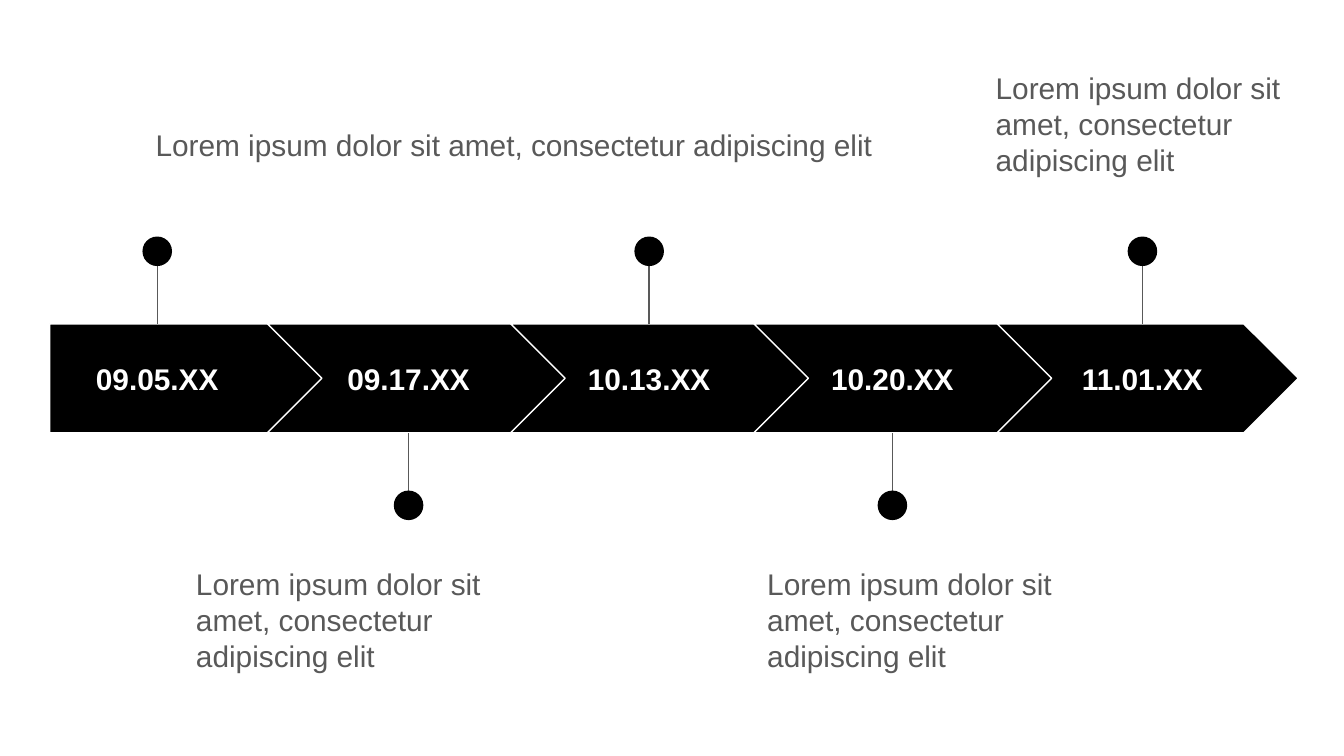
from pptx import Presentation
from pptx import util as u
from pptx.dml.color import RGBColor
from pptx.enum import shapes, text
from pptx.oxml.ns import qn
from lxml import etree

PX = 9144  # EMU in one px, 100 px to the inch
BLACK, WHITE, GREY = "000000", "FFFFFF", "595959"
BAND = (37, 241, 929, 81)
STEP_PITCH, STEP_OVERLAP = 181, 43
DOT, STEM, DATE_WIDTH, DATE_HEIGHT = 22, 54, 144, 51

DATE_FORMAT = {"size": u.Pt(16), "name": "Arial", "bold": True}
CAPTION_FORMAT = {"size": u.Pt(16), "name": "Arial", "bold": False}
CAPTION = "Lorem ipsum dolor sit amet, consectetur adipiscing elit"

# date, centre of the pin, pin above the band, caption box
MILESTONES = [
    ("09.05.XX", 117, True, None),
    ("09.17.XX", 304, False, (136, 411, 245, 99)),
    ("10.13.XX", 483, True, (106, 84, 660, 141)),
    ("10.20.XX", 664, False, (561, 411, 245, 99)),
    ("11.01.XX", 850, True, (731, 42, 245, 99)),
]


def px(*lengths):
    return [u.Emu(round(length * PX)) for length in lengths]


def color(hex_string):
    return RGBColor.from_string(hex_string)


def add_filled(parent, kind, box, line=None):
    shape = parent.shapes.add_shape(kind, *px(*box))
    shape.shadow.inherit = False
    shape.fill.solid()
    shape.fill.fore_color.rgb = color(BLACK)
    if line:
        shape.line.color.rgb = color(line)
        shape.line.width = u.Pt(0.75)
    else:
        shape.line.fill.background()
    return shape


def add_text(slide, box, words, font_format, font_color, frame_format, paragraph_format):
    frame = slide.shapes.add_textbox(*px(*box)).text_frame
    margins = dict.fromkeys(
        ("margin_left", "margin_top", "margin_right", "margin_bottom"), u.Inches(0.1))
    for name, value in {"word_wrap": True, **margins, **frame_format}.items():
        setattr(frame, name, value)
    paragraph = frame.paragraphs[0]
    for name, value in paragraph_format.items():
        setattr(paragraph, name, value)
    run = paragraph.add_run()
    run.text = words
    for name, value in font_format.items():
        setattr(run.font, name, value)
    run.font.color.rgb = color(font_color)


def add_step(slide, index, box):
    """One arrow of the band; the first has a flat left side."""
    left, top, _, height = box
    if index == 0:
        kind, width = shapes.MSO_SHAPE.PENTAGON, STEP_PITCH + 24
    else:
        kind, width = shapes.MSO_SHAPE.CHEVRON, STEP_PITCH + STEP_OVERLAP
        left += index * STEP_PITCH - 19
    arrow = add_filled(slide, kind, (left, top, width, height), WHITE)
    arrow.adjustments[0] = 0.5


def add_date(slide, date, center, box):
    top = box[1] + (box[3] - DATE_HEIGHT) / 2
    add_text(slide, (center - DATE_WIDTH / 2, top, DATE_WIDTH, DATE_HEIGHT), date,
             DATE_FORMAT, WHITE, {"vertical_anchor": text.MSO_ANCHOR.MIDDLE},
             {"alignment": text.PP_ALIGN.CENTER})


def add_pin(slide, center, above, box):
    """A stem and a dot that stand on one edge of the band."""
    edge = box[1] if above else box[1] + box[3]
    dot_center = edge - STEM if above else edge + STEM
    pin = slide.shapes.add_group_shape()
    stem = pin.shapes.add_connector(
        shapes.MSO_CONNECTOR.STRAIGHT, *px(center, dot_center, center, edge))
    stem.line.color.rgb = color(GREY)
    stem.line.width = u.Pt(0.75)
    etree.SubElement(stem._element.spPr, qn("a:effectLst"))
    add_filled(pin, shapes.MSO_SHAPE.OVAL,
               (center - DOT / 2, dot_center - DOT / 2, DOT, DOT))


def add_timeline(slide, box):
    for index, (date, center, above, caption_box) in enumerate(MILESTONES):
        add_step(slide, index, box)
        add_date(slide, date, center, box)
        add_pin(slide, center, above, box)
        if caption_box:
            add_text(slide, caption_box, CAPTION, CAPTION_FORMAT, GREY, {},
                     {"space_after": u.Pt(16), "line_spacing": 1.0})


def main():
    presentation = Presentation()
    presentation.slide_width = u.Inches(10)
    presentation.slide_height = u.Emu(presentation.slide_width * 9 // 16)
    slide = presentation.slides.add_slide(presentation.slide_layouts[6])
    add_timeline(slide, BAND)
    presentation.save("out.pptx")


if __name__ == "__main__":
    main()
